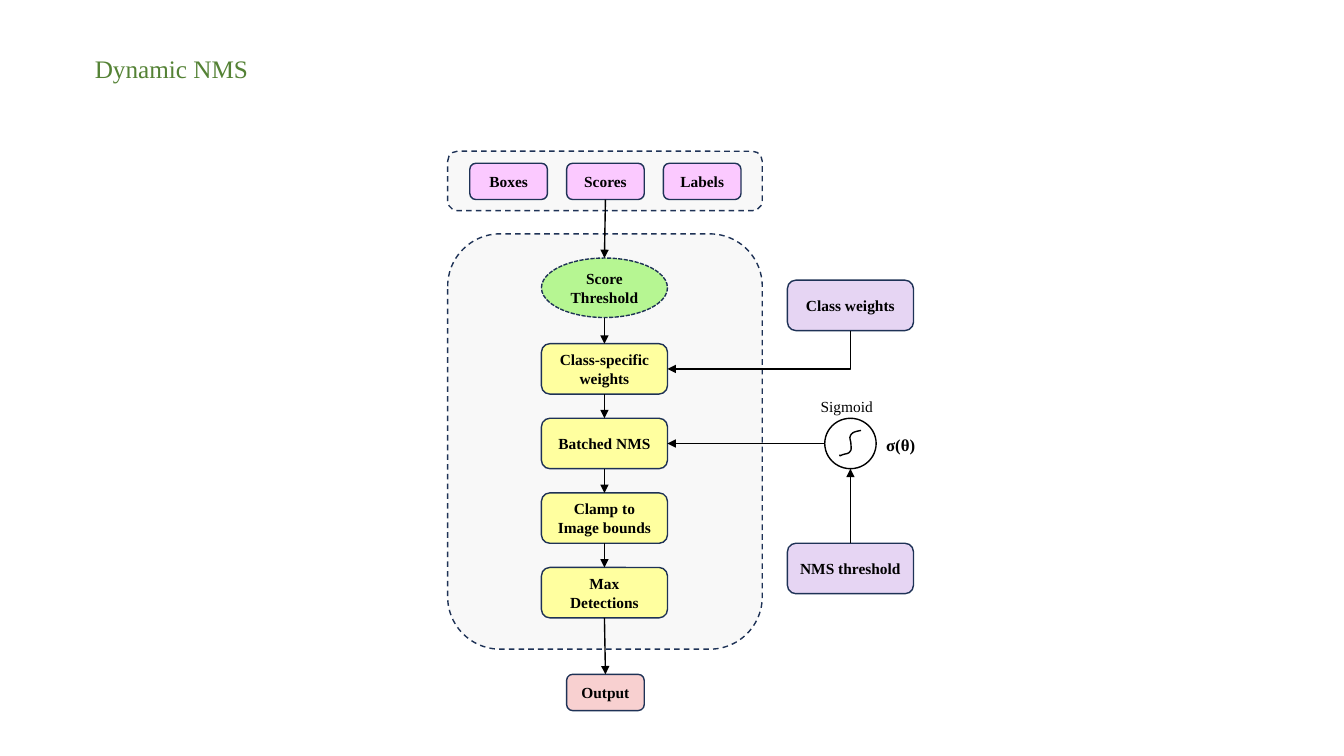
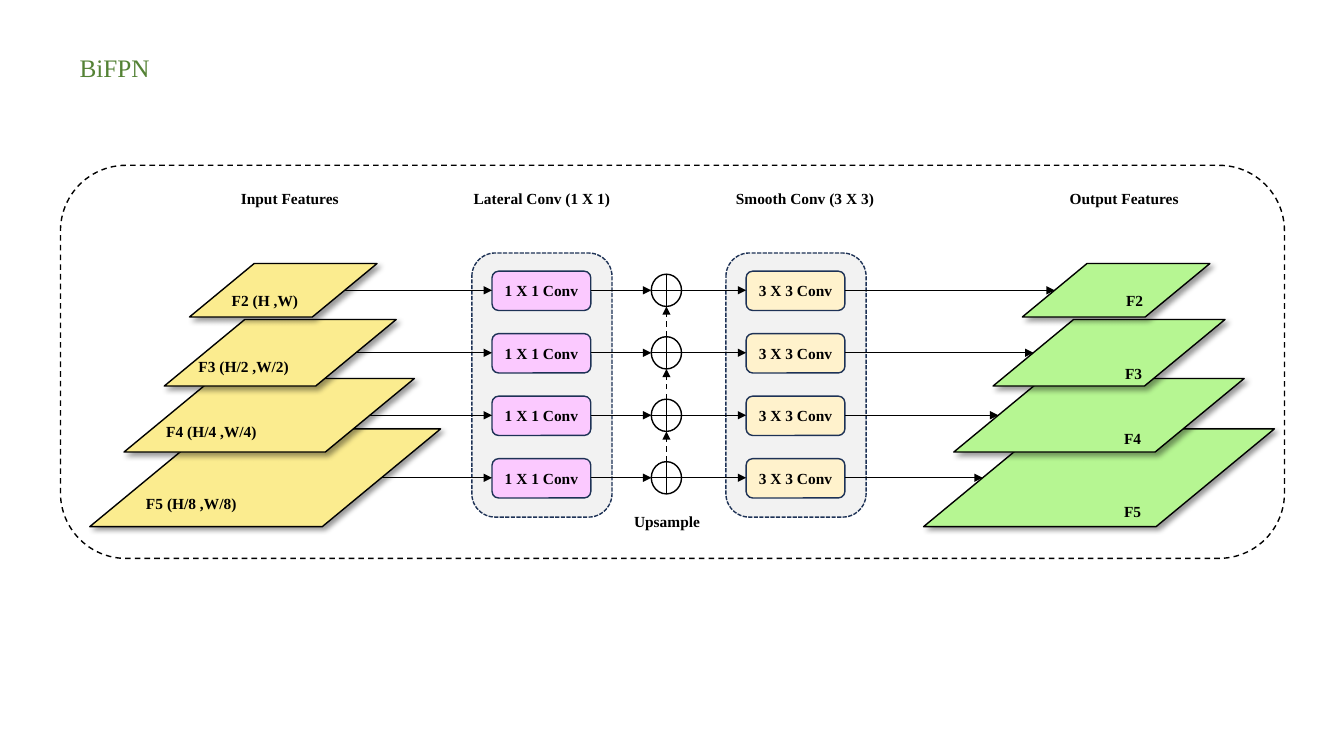
from dataclasses import dataclass

from lxml import etree
from pptx import Presentation
from pptx.dml.color import RGBColor
from pptx.enum.dml import MSO_LINE as Dash
from pptx.enum.shapes import MSO_CONNECTOR as Connector, MSO_SHAPE as Shape
from pptx.enum.text import MSO_ANCHOR as Anchor, MSO_AUTO_SIZE as AutoSize, PP_ALIGN as Align
from pptx.oxml.ns import qn
from pptx.util import Inches, Pt


@dataclass(frozen=True)
class Theme:
    font: str = "Times New Roman"
    title: str = "548235"
    ink: str = "000000"
    outline: str = "1E3256"
    panel: str = "F8F8F8"
    column: str = "F2F2F2"
    pink: str = "FBC9FF"
    green: str = "B6F692"
    yellow: str = "FFFF9F"
    lilac: str = "E6D5F3"
    rose: str = "F8D0D0"
    cream: str = "FFF2CC"
    gold: str = "FBEC8F"
    title_size: int = 18
    symbol_size: int = 12
    label_size: int = 11
    line_width: int = 1
    slant: float = 1.21


def side(shape, name):
    """Midpoint of one side of a shape, in inches."""
    left, top = shape.left.inches, shape.top.inches
    width, height = shape.width.inches, shape.height.inches
    across, down = {"top": (0.5, 0), "bottom": (0.5, 1),
                    "left": (0, 0.5), "right": (1, 0.5)}[name]
    return left + across * width, top + down * height


def bezier(start, first, second, end, steps=8):
    """Points along a cubic curve, without its start."""
    for step in range(1, steps + 1):
        t = step / steps
        u = 1 - t
        yield tuple(u**3 * a + 3 * u * u * t * b + 3 * u * t * t * c + t**3 * d
                    for a, b, c, d in zip(start, first, second, end))


class Deck:
    def __init__(self, theme):
        self.theme = theme
        self.presentation = Presentation()
        self.presentation.slide_width = Inches(13.33)
        self.presentation.slide_height = Inches(7.5)
        self.slide = None

    def add_slide(self, title, left, top, width):
        layout = self.presentation.slide_layouts[5]
        self.slide = self.presentation.slides.add_slide(layout)
        shape = self.slide.shapes.title
        shape.left, shape.top = Inches(left), Inches(top)
        shape.width, shape.height = Inches(width), Inches(0.4)
        self.put_text(shape, title, size=self.theme.title_size,
                      color=self.theme.title, bold=False)

    def put_text(self, shape, text, size=None, color=None, bold=True,
                 align=Align.LEFT, anchor=Anchor.TOP):
        frame = shape.text_frame
        frame.word_wrap = True
        frame.auto_size = AutoSize.NONE
        frame.vertical_anchor = anchor
        paragraph = frame.paragraphs[0]
        paragraph.alignment = align
        for index, line in enumerate(text.split("\n")):
            if index:
                paragraph.add_line_break()
            run = paragraph.add_run()
            run.text = line
            run.font.name = self.theme.font
            run.font.size = Pt(size or self.theme.label_size)
            run.font.bold = bold
            run.font.color.rgb = RGBColor.from_string(color or self.theme.ink)

    def stroke(self, line, color=None, dash=None):
        line.color.rgb = RGBColor.from_string(color or self.theme.ink)
        line.width = Pt(self.theme.line_width)
        if dash:
            line.dash_style = dash

    def paint(self, shape, fill=None, line=None, dash=None):
        shape.shadow.inherit = False
        if fill:
            shape.fill.solid()
            shape.fill.fore_color.rgb = RGBColor.from_string(fill)
        else:
            shape.fill.background()
        self.stroke(shape.line, line, dash)

    def node(self, kind, left, top, width, height, fill=None, line=None,
             dash=None, text=""):
        shape = self.slide.shapes.add_shape(
            kind, Inches(left), Inches(top), Inches(width), Inches(height))
        self.paint(shape, fill, line, dash)
        if text:
            frame = shape.text_frame
            frame.margin_left = frame.margin_right = Inches(0.05)
            self.put_text(shape, text, align=Align.CENTER, anchor=Anchor.MIDDLE)
        return shape

    def box(self, left, top, width, height, fill, text="", dash=None):
        return self.node(Shape.ROUNDED_RECTANGLE, left, top, width, height,
                         fill, self.theme.outline, dash, text)

    def plane(self, left, middle, width, height, fill):
        """Slanted plane with a soft shadow; returns its edge midpoints."""
        shape = self.node(Shape.PARALLELOGRAM, left, middle - height / 2,
                          width, height, fill)
        shape.adjustments[0] = self.theme.slant
        effects = shape.element.spPr.find(qn("a:effectLst"))
        shadow = etree.SubElement(
            effects, qn("a:outerShdw"), blurRad=str(Pt(4)), dist=str(Pt(3)),
            dir="2700000", algn="tl", rotWithShape="0")
        color = etree.SubElement(shadow, qn("a:srgbClr"), val=self.theme.ink)
        etree.SubElement(color, qn("a:alpha"), val="40000")
        inset = self.theme.slant * height / 2
        return (left + inset, middle), (left + width - inset, middle)

    def label(self, text, left, top, width, size=None, bold=True):
        shape = self.slide.shapes.add_textbox(
            Inches(left), Inches(top), Inches(width), Inches(0.29))
        shape.text_frame.margin_right = 0
        self.put_text(shape, text, size=size, bold=bold)

    def arrow(self, start, end, dash=None, kind=Connector.STRAIGHT):
        connector = self.slide.shapes.add_connector(
            kind, *(Inches(value) for value in (*start, *end)))
        self.stroke(connector.line, dash=dash)
        properties = connector.element.spPr
        etree.SubElement(properties.find(qn("a:ln")), qn("a:tailEnd"), type="triangle")
        etree.SubElement(properties, qn("a:effectLst"))
        return connector

    def corner_arrow(self, start, end):
        """Arrow that runs down, then left: a quarter-turned bent connector."""
        middle_x, middle_y = (start[0] + end[0]) / 2, (start[1] + end[1]) / 2
        half_width, half_height = (end[1] - start[1]) / 2, (start[0] - end[0]) / 2
        connector = self.arrow((middle_x - half_width, middle_y - half_height),
                               (middle_x + half_width, middle_y + half_height),
                               kind=Connector.ELBOW)
        properties = connector.element.spPr
        properties.find(qn("a:xfrm")).set("rot", "5400000")
        properties.find(qn("a:prstGeom")).set("prst", "bentConnector2")

    def curve(self, start, segments):
        points, current = [], start
        for segment in segments:
            points.extend(bezier(current, *segment))
            current = segment[-1]
        builder = self.slide.shapes.build_freeform(Inches(start[0]), Inches(start[1]))
        builder.add_line_segments([(Inches(x), Inches(y)) for x, y in points], close=False)
        self.paint(builder.convert_to_shape())


def dynamic_nms(deck):
    theme = deck.theme
    deck.add_slide("Dynamic NMS", 0.84, 0.48, 2.72)

    # Panels and inputs
    for top, height in ((1.5, 0.59), (2.32, 4.12)):
        deck.box(4.44, top, 3.12, height, theme.panel, dash=Dash.DASH)
    inputs = [deck.box(4.66 + 0.96 * index, 1.62, 0.77, 0.36, theme.pink, name)
              for index, name in enumerate(("Boxes", "Scores", "Labels"))]

    # Main flow
    threshold = deck.node(Shape.OVAL, 5.37, 2.56, 1.25, 0.59, theme.green,
                          theme.outline, Dash.SQUARE_DOT, "Score\nThreshold")
    names = ("Class-specific\nweights", "Batched NMS",
             "Clamp to\nImage bounds", "Max\nDetections")
    steps = [deck.box(5.37, 3.41 + 0.74 * index, 1.25, 0.5, theme.yellow, name)
             for index, name in enumerate(names)]
    output = deck.box(5.62, 6.69, 0.77, 0.36, theme.rose, "Output")
    flow = [inputs[1], threshold, *steps, output]
    for upper, lower in zip(flow, flow[1:]):
        deck.arrow(side(upper, "bottom"), side(lower, "top"))

    # Learned parameters
    weights = deck.box(7.81, 2.78, 1.25, 0.5, theme.lilac, "Class weights")
    nms = deck.box(7.81, 5.39, 1.25, 0.5, theme.lilac, "NMS threshold")
    sigmoid = deck.node(Shape.FLOWCHART_CONNECTOR, 8.18, 4.15, 0.51, 0.5)
    deck.curve((8.54, 4.27), (
        ((8.5, 4.28), (8.44, 4.28), (8.43, 4.34)),
        ((8.43, 4.36), (8.44, 4.38), (8.44, 4.41)),
        ((8.44, 4.43), (8.45, 4.46), (8.43, 4.48)),
        ((8.42, 4.5), (8.39, 4.5), (8.36, 4.51)),
        ((8.33, 4.52), (8.33, 4.53), (8.33, 4.51))))
    deck.corner_arrow(side(weights, "bottom"), side(steps[0], "right"))
    deck.arrow(side(nms, "top"), side(sigmoid, "bottom"))
    deck.arrow(side(sigmoid, "left"), side(steps[1], "right"))
    deck.label("Sigmoid", 8.04, 3.89, 0.8, bold=False)
    deck.label("σ(θ)", 8.69, 4.26, 0.58, size=theme.symbol_size)


def bifpn(deck):
    theme = deck.theme
    deck.add_slide("BiFPN", 0.69, 0.47, 1.09)
    deck.node(Shape.ROUNDED_RECTANGLE, 0.6, 1.64, 12.14, 3.9, dash=Dash.DASH)

    # Feature pyramids, largest level at the back
    rows = [2.88 + 0.62 * index for index in range(4)]
    sizes = ((1.86, 0.53), (2.3, 0.66), (2.88, 0.73), (3.48, 0.97))

    def pyramid(lefts, fill):
        levels = list(zip(lefts, rows, sizes))
        edges = [deck.plane(left, row, *size, fill)
                 for left, row, size in reversed(levels)]
        return edges[::-1]

    sources = pyramid((1.88, 1.63, 1.23, 0.89), theme.gold)
    targets = pyramid((10.14, 9.85, 9.46, 9.16), theme.green)

    # Convolution columns
    for left in (4.68, 7.2):
        deck.box(left, 2.51, 1.39, 2.62, theme.column, dash=Dash.SQUARE_DOT)

    # One chain per level, with upsampling between levels
    below = None
    for row, source, target in reversed(list(zip(rows, sources, targets))):
        lateral = deck.box(4.88, row - 0.19, 0.98, 0.39, theme.pink, "1 X 1 Conv")
        merge = deck.node(Shape.FLOWCHART_OR, 6.46, row - 0.16, 0.3, 0.32)
        smooth = deck.box(7.4, row - 0.19, 0.98, 0.39, theme.cream, "3 X 3 Conv")
        stops = [source[1]]
        for shape in (lateral, merge, smooth):
            stops += [(side(shape, "left")[0], row), (side(shape, "right")[0], row)]
        stops.append(target[0])
        for start, end in zip(stops[::2], stops[1::2]):
            deck.arrow(start, end)
        if below:
            deck.arrow(side(below, "top"), side(merge, "bottom"), Dash.DASH)
        below = merge

    # Labels: text, left, top, width
    for label in (
            ("Input Features", 2.29, 1.83, 1.26),
            ("Lateral Conv (1 X 1)", 4.6, 1.83, 1.55),
            ("Smooth Conv (3 X 3)", 7.2, 1.83, 1.66),
            ("Output Features", 10.51, 1.83, 1.66),
            ("F2 (H ,W)", 2.2, 2.84, 1.26),
            ("F3 (H/2 ,W/2)", 1.87, 3.49, 1.26),
            ("F4 (H/4 ,W/4)", 1.55, 4.14, 1.26),
            ("F5 (H/8 ,W/8)", 1.35, 4.85, 1.26),
            ("F2", 11.07, 2.84, 0.49),
            ("F3", 11.06, 3.56, 0.49),
            ("F4", 11.05, 4.21, 0.49),
            ("F5", 11.05, 4.93, 0.49),
            ("Upsample", 6.19, 5.03, 0.87)):
        deck.label(*label)


def main():
    deck = Deck(Theme())
    dynamic_nms(deck)
    bifpn(deck)
    deck.presentation.save("out.pptx")


if __name__ == "__main__":
    main()
